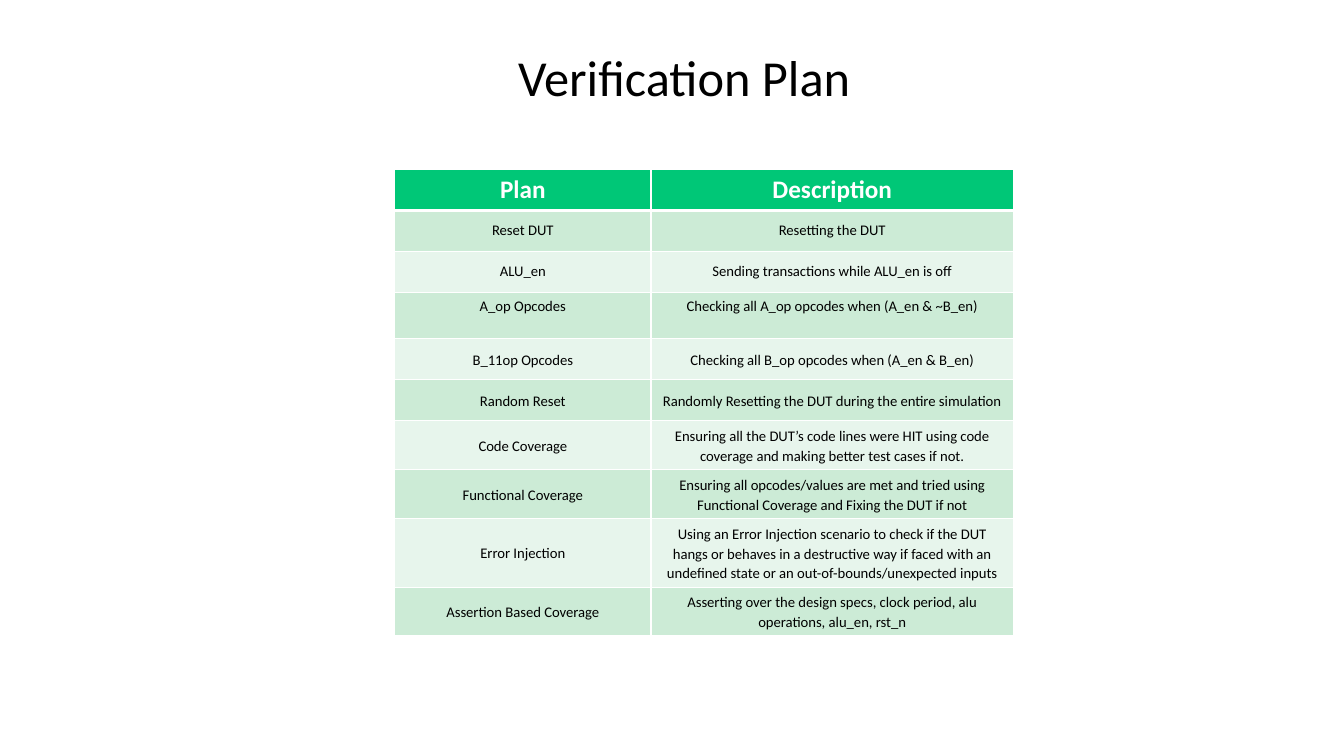
"""Builds the verification plan slide."""
from lxml import etree
from pptx import Presentation
from pptx.dml.color import RGBColor
from pptx.enum import text
from pptx.oxml import ns
from pptx.util import Pt

BLACK = RGBColor(0x00, 0x00, 0x00)
WHITE = RGBColor(0xFF, 0xFF, 0xFF)
GREEN = RGBColor(0x00, 0xC7, 0x77)
MINT = RGBColor(0xCC, 0xEB, 0xD6)
PALE = RGBColor(0xE7, 0xF5, 0xEC)

COLUMN_WIDTHS = (183, 259)
HEADINGS = ("Plan", "Description")
PLANS = (
    (29.3, "Reset DUT", "Resetting the DUT"),
    (29.3, "ALU_en", "Sending transactions while ALU_en is off"),
    (32.2, "A_op Opcodes", "Checking all A_op opcodes when (A_en & ~B_en)"),
    (29.3, "B_11op Opcodes", "Checking all B_op opcodes when (A_en & B_en)"),
    (29.3, "Random Reset", "Randomly Resetting the DUT during the entire simulation"),
    (35, "Code Coverage", "Ensuring all the DUT’s code lines were HIT using code "
     "coverage and making better test cases if not."),
    (35, "Functional Coverage", "Ensuring all opcodes/values are met and tried using "
     "Functional Coverage and Fixing the DUT if not"),
    (48.8, "Error Injection", "Using an Error Injection scenario to check if the DUT "
     "hangs or behaves in a destructive way if faced with an undefined state or an "
     "out-of-bounds/unexpected inputs"),
    (34.5, "Assertion Based Coverage", "Asserting over the design specs, clock period, "
     "alu operations, alu_en, rst_n"),
)
RAISED_ROW = 3
FIRST_SPACED_ROW = 4


def write(frame, words, size, color=BLACK, bold=False, spacing=1.0):
    """Put one centred paragraph into a text frame."""
    frame.word_wrap = True
    para = frame.paragraphs[0]
    para.alignment = text.PP_ALIGN.CENTER
    para.line_spacing = spacing
    span = para.add_run()
    span.text = words
    span.font.name = "Calibri"
    span.font.size = Pt(size)
    span.font.bold = bold
    span.font.color.rgb = color


def add_title(page, words):
    """Add the slide title."""
    box = page.shapes.add_textbox(Pt(318), Pt(29.5), Pt(341.5), Pt(51))
    write(box.text_frame, words, 36)


def add_borders(cell, **widths):
    """Give a cell white borders, keyed by side letter."""
    properties = cell._tc.get_or_add_tcPr()
    for side, width in widths.items():
        line = etree.SubElement(properties, ns.qn(f"a:ln{side}"), w=str(Pt(width)))
        fill = etree.SubElement(line, ns.qn("a:solidFill"))
        etree.SubElement(fill, ns.qn("a:srgbClr"), val=str(WHITE))


def style_cell(cell, row, fill):
    """Set the borders, fill and anchor of a cell."""
    add_borders(cell, L=1, R=1, T=3 if row == 1 else 1, B=3 if row == 0 else 1)
    cell.fill.solid()
    cell.fill.fore_color.rgb = fill
    cell.vertical_anchor = text.MSO_ANCHOR.MIDDLE


def add_plan_table(page):
    """Add the table of plans and their descriptions."""
    rows = ((29.3, *HEADINGS), *PLANS)
    height = sum(row[0] for row in rows)
    table = page.shapes.add_table(
        len(rows), len(HEADINGS), Pt(282), Pt(121), Pt(sum(COLUMN_WIDTHS)), Pt(height)
    ).table
    for column, width in zip(table.columns, COLUMN_WIDTHS):
        column.width = Pt(width)
    for index, (row_height, *entries) in enumerate(rows):
        table.rows[index].height = Pt(row_height)
        for column, words in enumerate(entries):
            cell = table.cell(index, column)
            if index == 0:
                style_cell(cell, index, GREEN)
                write(cell.text_frame, words, 18, color=WHITE, bold=True)
                continue
            style_cell(cell, index, MINT if index % 2 else PALE)
            spacing = 1.1 if index >= FIRST_SPACED_ROW else 1.0
            write(cell.text_frame, words, 10.5, spacing=spacing)
            if index == RAISED_ROW:
                cell.margin_bottom = Pt(17)


def main():
    """Build and save the deck."""
    deck = Presentation()
    deck.slide_width, deck.slide_height = Pt(960), Pt(540)
    page = deck.slides.add_slide(deck.slide_layouts[6])
    add_title(page, "Verification Plan")
    add_plan_table(page)
    deck.save("out.pptx")


if __name__ == "__main__":
    main()
